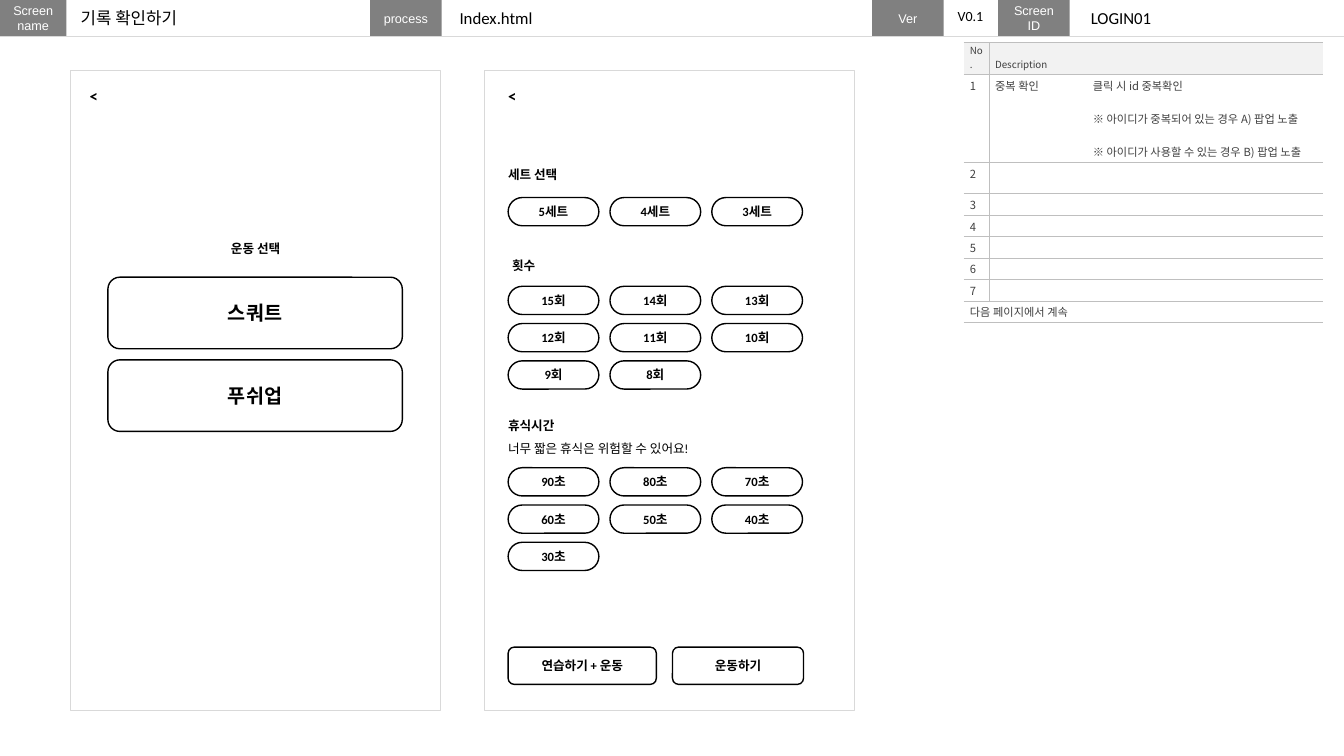
from lxml.etree import SubElement
from pptx import Presentation
from pptx.dml.color import RGBColor
from pptx.enum.shapes import MSO_CONNECTOR, MSO_SHAPE as Shape
from pptx.enum.text import MSO_ANCHOR as Anchor, MSO_AUTO_SIZE as AutoSize, PP_ALIGN as Align
from pptx.oxml.ns import qn
from pptx.util import Inches, Pt

BLACK = RGBColor(0x00, 0x00, 0x00)
WHITE = RGBColor(0xFF, 0xFF, 0xFF)
TAG_GREY = RGBColor(0x80, 0x80, 0x80)
FRAME_GREY = RGBColor(0xD9, 0xD9, 0xD9)
BORDER_GREY = RGBColor(0xBF, 0xBF, 0xBF)
HEAD_GREY = RGBColor(0xF2, 0xF2, 0xF2)
TEXT_GREY = RGBColor(0x40, 0x40, 0x40)
KOREAN = "Noto Sans CJK KR"


def grid(*cells):
    """Turn columns and rows of a tenth of an inch into lengths."""
    return [Inches(cell / 10) for cell in cells]


class Wireframe:
    font, size = "Calibri", 9

    def __init__(self, slide):
        self.slide = slide

    def style(self, frame, text, size=None, bold=False, color=BLACK, align=Align.LEFT, font=None):
        frame.text = text
        for paragraph in frame.paragraphs:
            paragraph.alignment = align
            for run in paragraph.runs:
                run.font.size = Pt(size or self.size)
                run.font.bold = bold
                run.font.color.rgb = color
                run.font.name = font or self.font
                SubElement(run.font._element, qn("a:ea"), typeface=KOREAN)

    def title(self, text, *place):
        heading = self.slide.shapes.title
        heading.left, heading.top, heading.width, heading.height = grid(*place)
        self.style(heading.text_frame, text, size=12)
        heading.text_frame.vertical_anchor = Anchor.TOP
        heading.text_frame.word_wrap = False
        heading.text_frame.auto_size = AutoSize.NONE

    def label(self, text, *place, wrap=True, **look):
        frame = self.slide.shapes.add_textbox(*grid(*place)).text_frame
        self.style(frame, text, **look)
        frame.word_wrap = wrap
        frame.auto_size = AutoSize.SHAPE_TO_FIT_TEXT

    def box(self, kind, *place, fill=WHITE, line=None, weight=1):
        panel = self.slide.shapes.add_shape(kind, *grid(*place))
        panel.shadow.inherit = False
        panel.fill.solid()
        panel.fill.fore_color.rgb = fill
        if line is None:
            panel.line.fill.background()
        else:
            panel.line.color.rgb = line
            panel.line.width = Pt(weight)
        return panel

    def tag(self, text, left, width):
        frame = self.box(Shape.RECTANGLE, left, 0, width, 3.6, fill=TAG_GREY).text_frame
        frame.margin_left = frame.margin_right = frame.margin_top = frame.margin_bottom = Inches(0.04)
        frame.vertical_anchor = Anchor.MIDDLE
        frame.word_wrap = True
        self.style(frame, text, color=WHITE, align=Align.CENTER, font="Arial")

    def rule(self, left, top, right, bottom):
        line = self.slide.shapes.add_connector(MSO_CONNECTOR.STRAIGHT, *grid(left, top, right, bottom))
        line.line.color.rgb = FRAME_GREY
        line.line.width = Pt(0.5)
        SubElement(line._element.spPr, qn("a:effectLst"))

    def button(self, text, left, top, width, height, caption, size=None, pill=False):
        outline = self.box(Shape.ROUNDED_RECTANGLE, left, top, width, height, line=BLACK)
        if pill:
            outline.adjustments[0] = 0.5
        wide, high = caption
        self.label(text, left + (width - wide) / 2, top + (height - high) / 2, wide, high,
                   size=size, bold=True, align=Align.CENTER)

    def pills(self, texts, top):
        for index, text in enumerate(texts):
            row, column = divmod(index, 3)
            self.button(text, 50.4 + 10.1 * column, top + 3.7 * row, 9, 2.8, (5.4, 2.5), pill=True)

    def borders(self, cell, sides):
        props = cell._tc.get_or_add_tcPr()
        for side in "LRTB":
            line = SubElement(props, qn(f"a:ln{side}"), w=str(Pt(0.25)))
            if side in sides:
                SubElement(SubElement(line, qn("a:solidFill")), qn("a:srgbClr"), val=str(BORDER_GREY))
            else:
                SubElement(line, qn("a:noFill"))

    def table(self, rows, left, top, widths, heights):
        grid_table = self.slide.shapes.add_table(
            len(rows), len(widths), *grid(left, top, sum(widths), sum(heights))).table
        grid_table.first_row = grid_table.horz_banding = False
        for column, width in zip(grid_table.columns, grid(*widths)):
            column.width = width
        for row, height in zip(grid_table.rows, grid(*heights)):
            row.height = height
        last = len(rows) - 1
        for r, texts in enumerate(rows):
            for c, text in enumerate(texts):
                cell = grid_table.cell(r, c)
                cell.margin_left = cell.margin_right = Inches(0.06)
                cell.margin_top = Inches(0.03 if r else 0)
                cell.margin_bottom = Inches(0.02 if r else 0.03)
                self.borders(cell, "TB" if r == last or c == 2 else "TBR" if c == 0 else "TBL")
                self.style(cell.text_frame, text, size=8 if r else 7, color=TEXT_GREY, font=KOREAN)
                for paragraph in cell.text_frame.paragraphs[1:]:
                    paragraph.space_before = Pt(11.8)
                if not text:
                    cell.text_frame.paragraphs[0]._p.get_or_add_endParaRPr().set("sz", "800")
                if r:
                    cell.fill.background()
                else:
                    cell.fill.solid()
                    cell.fill.fore_color.rgb = HEAD_GREY
                    cell.vertical_anchor = Anchor.BOTTOM
        grid_table.cell(0, 1).merge(grid_table.cell(0, 2))
        grid_table.cell(last, 0).merge(grid_table.cell(last, 2))


def main():
    deck = Presentation()
    deck.slide_width, deck.slide_height = Inches(13.33), Inches(7.5)
    page = Wireframe(deck.slides.add_slide(deck.slide_layouts[5]))

    # Header bar
    for text, left, width in [("Screen\nname", 0, 6.6), ("process", 36.7, 7.1),
                              ("Screen\nID", 99, 7.1), ("Ver", 86.5, 7.1)]:
        page.tag(text, left, width)
    page.rule(0, 3.6, 133.3, 3.6)
    page.title("기록 확인하기", 7, 0.3, 12.9, 3)
    for text, left, width, size in [("V0.1", 94, 4.6, 10), ("Index.html", 44.6, 9.7, 12),
                                    ("LOGIN01", 107.2, 8.1, 12)]:
        page.label(text, left, 0.3, width, 3, wrap=False, size=size)

    # Screen frames with back arrows
    for frame_left, arrow_left in [(7, 7.9), (48, 49.4)]:
        page.box(Shape.RECTANGLE, frame_left, 7, 36.7, 63.5, line=FRAME_GREY, weight=0.25)
        page.label("<", arrow_left, 8, 2.9, 3, wrap=False, size=12, bold=True)

    # Exercise choice
    page.label("운동 선택", 19.6, 23.4, 11.5, 2.5, bold=True, align=Align.CENTER)
    for index, exercise in enumerate(["스쿼트", "푸쉬업"]):
        page.button(exercise, 10.7, 27.5 + 8.2 * index, 29.2, 7.1, (11.5, 3.4), size=14)

    # Sets, repetitions and rest time
    for heading, left, top, options, pill_top in [
        ("세트 선택", 49.4, 16.1, [f"{n}세트" for n in (5, 4, 3)], 19.6),
        ("횟수", 49.8, 25.1, [f"{n}회" for n in range(15, 7, -1)], 28.4),
        ("휴식시간", 49.4, 41, [f"{n}초" for n in range(90, 20, -10)], 46.4),
    ]:
        page.label(heading, left, top, 11.5, 2.5, bold=True)
        page.pills(options, pill_top)
    page.label("너무 짧은 휴식은 위험할 수 있어요!", 49.4, 43.2, 29.9, 2.5)

    # Start buttons
    for text, left, width in [("연습하기 + 운동", 50.4, 14.7), ("운동하기", 66.7, 13)]:
        page.button(text, left, 64.2, width, 3.7, (11.5, 2.5))

    # Description table
    duplicate_check = "\n".join(["클릭 시 id 중복확인",
                                 "※ 아이디가 중복되어 있는 경우 A) 팝업 노출",
                                 "※ 아이디가 사용할 수 있는 경우 B) 팝업 노출"])
    rows = [("No.", "Description", ""), ("1", "중복 확인", duplicate_check)]
    rows += [(str(number), "", "") for number in range(2, 8)]
    rows.append(("다음 페이지에서 계속", "", ""))
    page.table(rows, 95.6, 4.2, [2.5, 9.7, 23.4], [3.2, 8.7, 3.1] + [2.13] * 6)

    deck.save("out.pptx")


if __name__ == "__main__":
    main()
